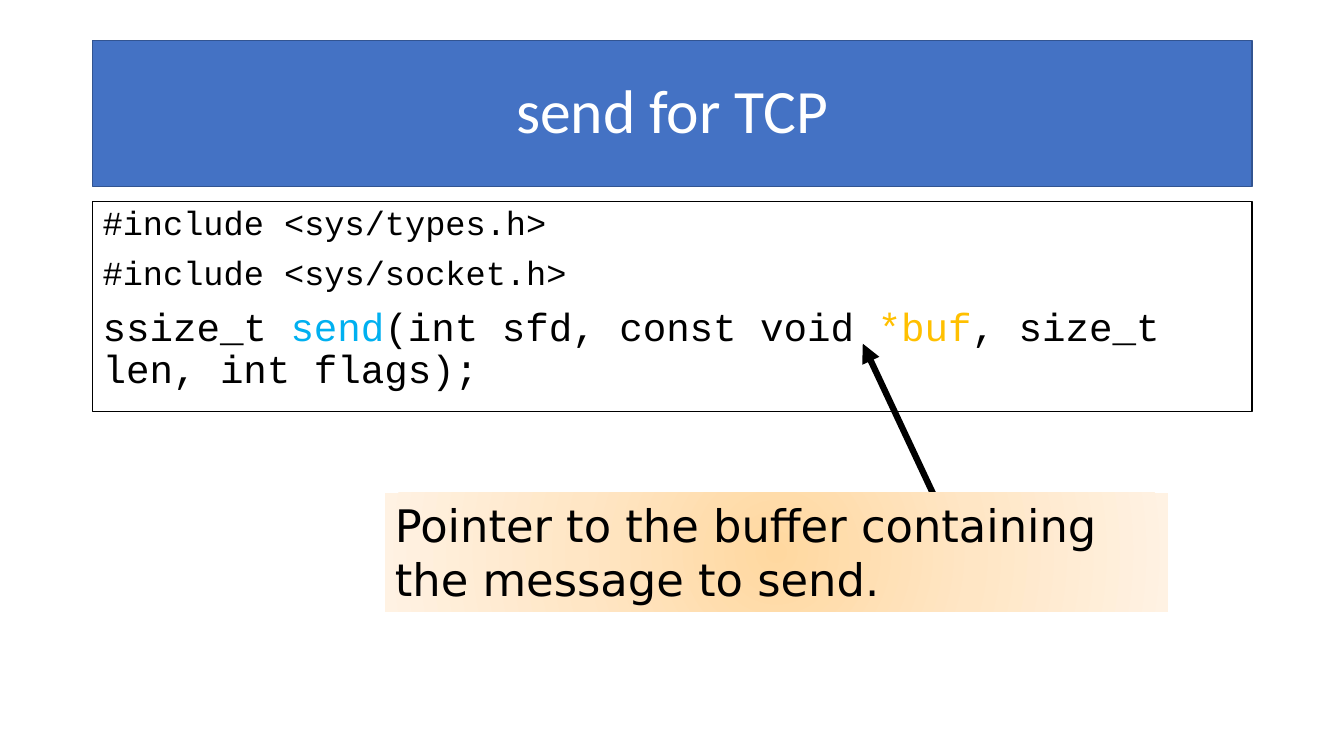
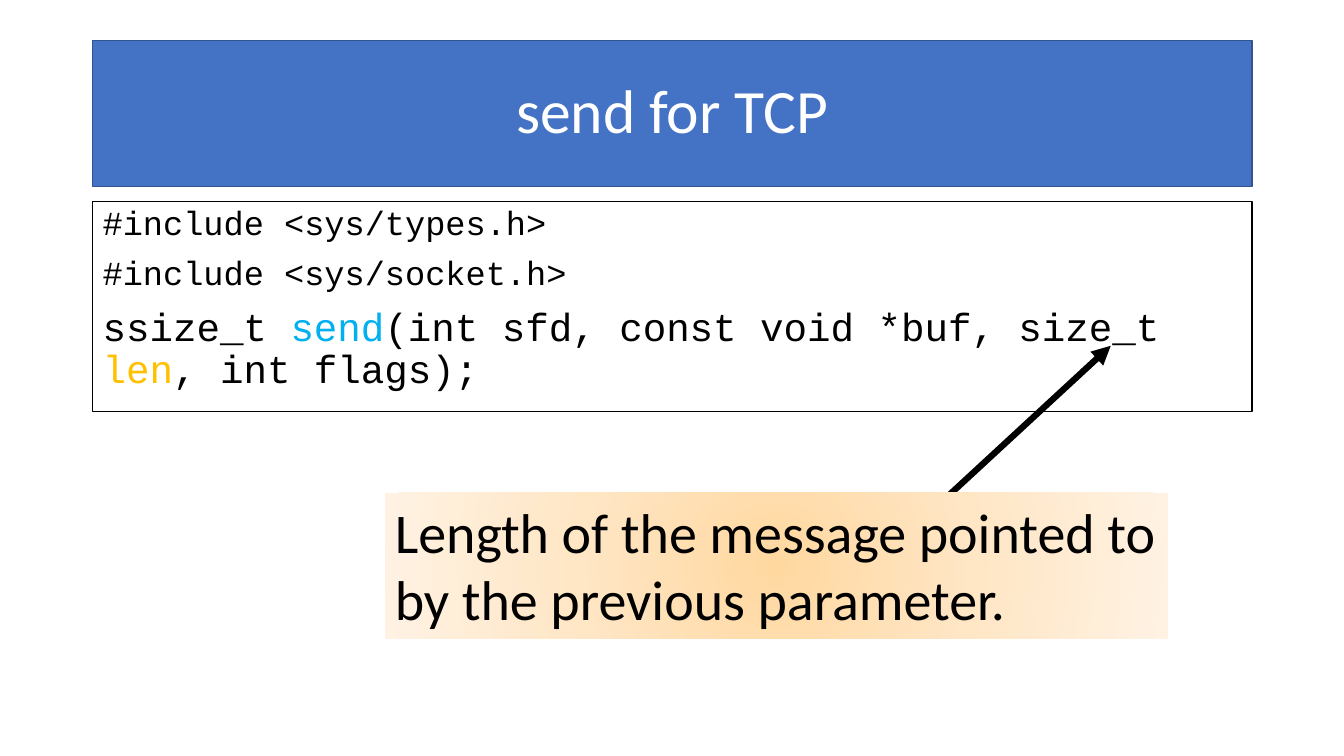
"""Build two slides that explain the parameters of send for TCP."""
import dataclasses

import lxml.etree
import pptx
import pptx.dml.color
import pptx.enum.shapes
import pptx.enum.text
import pptx.oxml.ns
import pptx.util

Pt = pptx.util.Pt
qn = pptx.oxml.ns.qn
Anchor = pptx.enum.text.MSO_ANCHOR
Align = pptx.enum.text.PP_ALIGN
AutoSize = pptx.enum.text.MSO_AUTO_SIZE


@dataclasses.dataclass(frozen=True)
class Theme:
    black: str = "000000"
    white: str = "FFFFFF"
    band: str = "4472C4"
    band_line: str = "325491"
    function: str = "00B0F0"
    highlight: str = "FFC000"
    glow: tuple = ((0, "FFD8A0"), (50, "FFE6C5"), (100, "FFF2E3"))
    text_font: str = "Calibri"
    code_font: str = "Courier New"
    wide_font: str = "DejaVu Sans"
    title_size: int = 44
    include_size: int = 24
    code_size: int = 28
    left: float = 66.24
    width: float = 828


THEME = Theme()


def rgb(value):
    return pptx.dml.color.RGBColor.from_string(value)


def add_box(page, left, top, width, height, fill=None, line=None):
    box = page.shapes.add_shape(
        pptx.enum.shapes.MSO_SHAPE.RECTANGLE, Pt(left), Pt(top), Pt(width), Pt(height))
    box.shadow.inherit = False
    if fill:
        box.fill.solid()
        box.fill.fore_color.rgb = rgb(fill)
    if line:
        box.line.color.rgb = rgb(line)
        box.line.width = Pt(1)
    else:
        box.line.fill.background()
    box.text_frame.word_wrap = True
    box.text_frame.vertical_anchor = Anchor.TOP
    return box


def add_text(para, text, font=THEME.text_font, size=18, color=THEME.black,
             align=Align.LEFT, spacing=None, before=None):
    span = para.add_run()
    span.text = text
    span.font.name = font
    span.font.size = Pt(size)
    span.font.color.rgb = rgb(color)
    para.alignment = align
    if spacing is not None:
        para.line_spacing = spacing
    if before is not None:
        para.space_before = Pt(before)


def fill_glow(box):
    box.fill.gradient()
    gradient = box.element.spPr.find(qn("a:gradFill"))
    for child in list(gradient):
        gradient.remove(child)
    stops = lxml.etree.SubElement(gradient, qn("a:gsLst"))
    for percent, color in THEME.glow:
        stop = lxml.etree.SubElement(stops, qn("a:gs"), pos=str(percent * 1000))
        lxml.etree.SubElement(stop, qn("a:srgbClr"), val=color)
    shade = lxml.etree.SubElement(gradient, qn("a:path"), path="circle")
    center = dict.fromkeys("ltrb", "50000")
    lxml.etree.SubElement(shade, qn("a:fillToRect"), center)


def add_title(page, text):
    box = add_box(page, THEME.left, 28.8, THEME.width, 104.4, THEME.band, THEME.band_line)
    box.text_frame.vertical_anchor = Anchor.MIDDLE
    add_text(box.text_frame.paragraphs[0], text, size=THEME.title_size,
             color=THEME.white, align=Align.CENTER, spacing=0.9)


def add_code(page, signature):
    box = add_box(page, THEME.left, 144, THEME.width, 149.76, THEME.white, THEME.black)
    lines = [
        (THEME.include_size, [("#include <sys/types.h>", THEME.black)]),
        (THEME.include_size, [("#include <sys/socket.h>", THEME.black)]),
        (THEME.code_size, signature),
    ]
    for index, (size, spans) in enumerate(lines):
        frame = box.text_frame
        para = frame.add_paragraph() if index else frame.paragraphs[0]
        for text, color in spans:
            add_text(para, text, font=THEME.code_font, size=size, color=color,
                     spacing=0.9, before=10)


def add_arrow(page, start, end):
    arrow = page.shapes.add_connector(
        pptx.enum.shapes.MSO_CONNECTOR.STRAIGHT, *map(Pt, start + end))
    arrow.line.color.rgb = rgb(THEME.black)
    arrow.line.width = Pt(4.5)
    lxml.etree.SubElement(arrow.line._get_or_add_ln(), qn("a:tailEnd"), type="triangle")
    lxml.etree.SubElement(arrow.element.spPr, qn("a:effectLst"))


def add_callout(page, text, height, font, size):
    box = add_box(page, 275, 352, 559.5, height)
    fill_glow(box)
    box.text_frame.auto_size = AutoSize.SHAPE_TO_FIT_TEXT
    add_text(box.text_frame.paragraphs[0], text, font=font, size=size)


def add_parameter_page(deck, before, parameter, after, tip, note, **note_format):
    page = deck.slides.add_slide(deck.slide_layouts[6])
    add_title(page, "send for TCP")
    add_code(page, [
        ("ssize_t ", THEME.black),
        ("send", THEME.function),
        (before, THEME.black),
        (parameter, THEME.highlight),
        (after, THEME.black),
    ])
    add_arrow(page, (670.3, 360.7), tip)
    add_callout(page, note, **note_format)


def main():
    deck = pptx.Presentation()
    deck.slide_width, deck.slide_height = Pt(960), Pt(540)
    add_parameter_page(
        deck, "(int sfd, const void ", "*buf", ", size_t len, int flags);", (616.3, 245.5),
        "Pointer to the buffer containing the message to send.",
        height=85, font=THEME.wide_font, size=32)
    add_parameter_page(
        deck, "(int sfd, const void *buf, size_t ", "len", ", int flags);", (793.4, 247),
        "Length of the message pointed to by the previous parameter.",
        height=104.4, font=THEME.text_font, size=40)
    deck.save("out.pptx")


if __name__ == "__main__":
    main()
